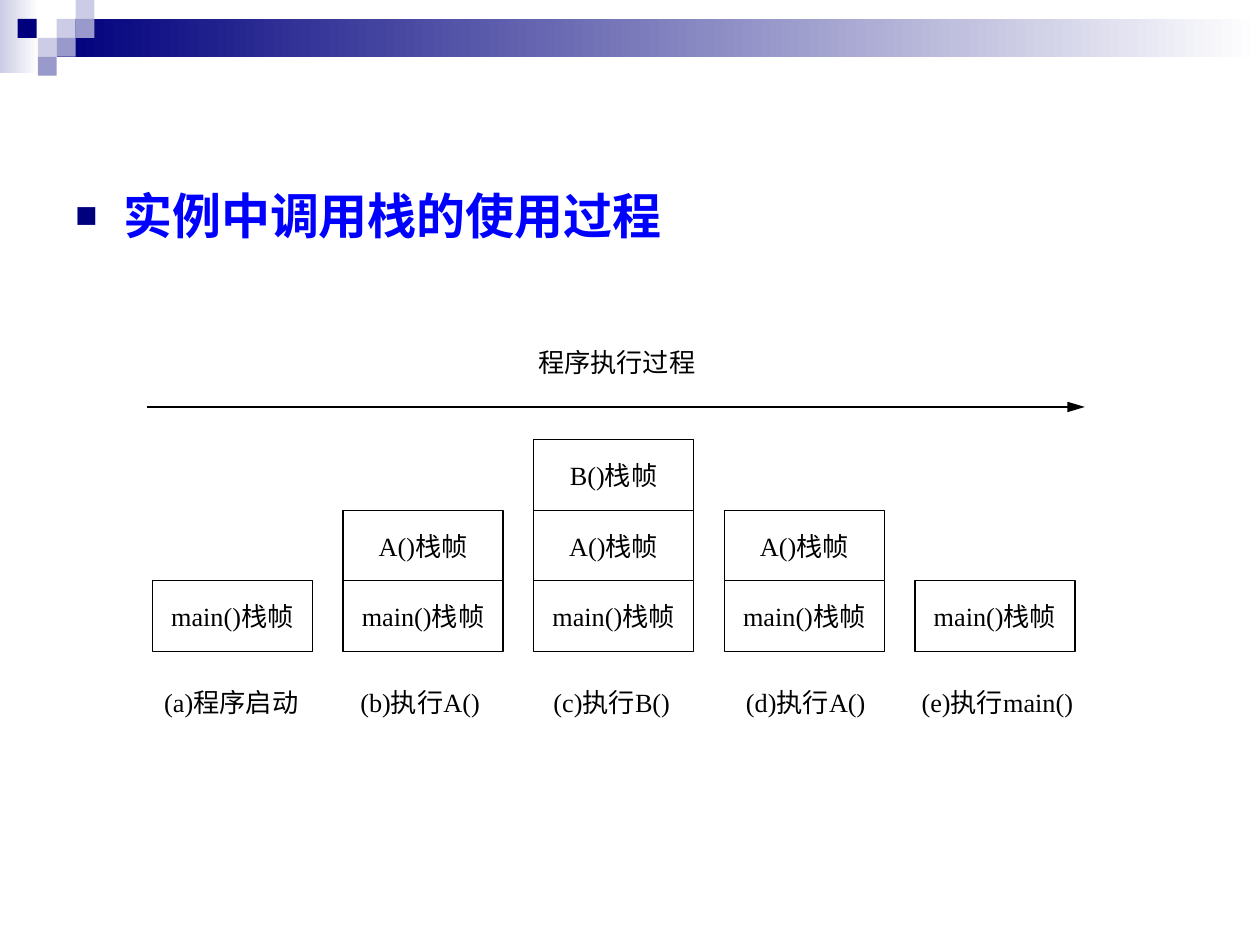
from lxml import etree
from pptx import Presentation
from pptx.dml.color import RGBColor
from pptx.enum.shapes import MSO_CONNECTOR, MSO_SHAPE
from pptx.enum.text import MSO_ANCHOR, PP_ALIGN
from pptx.oxml.ns import qn
from pptx.util import Inches, Pt

NAVY = RGBColor(0x00, 0x00, 0x7D)
LAVENDER = RGBColor(0xCC, 0xCC, 0xE6)
PERIWINKLE = RGBColor(0x99, 0x99, 0xCC)
BLUE = RGBColor(0x00, 0x00, 0xFF)
BLACK = RGBColor(0x00, 0x00, 0x00)
WHITE = RGBColor(0xFF, 0xFF, 0xFF)

LABEL_FONT = {"name": "Times New Roman", "size": Pt(15), "bold": False}
HEADING_FONT = {"name": "Arial", "size": Pt(28), "bold": True}


def add_rect(left, top, width, height):
    sp = slide.shapes.add_shape(MSO_SHAPE.RECTANGLE, Inches(left), Inches(top),
                                Inches(width), Inches(height))
    sp.shadow.inherit = False
    sp.line.fill.background()
    return sp


def write(sp, text, fmt, color, align):
    """Put one wrapped, formatted paragraph in the shape and return it."""
    sp.text_frame.word_wrap = True
    p = sp.text_frame.paragraphs[0]
    p.alignment = align
    r = p.add_run()
    r.text = text
    for name, value in fmt.items():
        setattr(r.font, name, value)
    r.font.color.rgb = color
    return p


prs = Presentation()
prs.slide_width, prs.slide_height = Inches(10), Inches(7.5)
slide = prs.slides.add_slide(prs.slide_layouts[6])

# Header: two gradient bands under a mosaic of small squares
for box, color in [((0, 0, 0.31, 0.58), LAVENDER), ((0.45, 0.15, 9.55, 0.3), NAVY)]:
    fill = add_rect(*box).fill
    fill.gradient()
    fill.gradient_angle = 0
    for stop, position, stop_color in zip(fill.gradient_stops, (0, 1), (color, WHITE)):
        stop.position = position
        stop.color.rgb = stop_color

SQUARE = 0.15
for left, top, color in [
    (0.45, 0.15, LAVENDER), (0.6, 0, LAVENDER), (0.6, 0.15, PERIWINKLE),
    (0.3, 0.3, LAVENDER), (0.14, 0.15, NAVY), (0.45, 0.3, PERIWINKLE),
    (0.3, 0.45, PERIWINKLE),
]:
    sp = add_rect(left, top, SQUARE, SQUARE)
    sp.fill.solid()
    sp.fill.fore_color.rgb = color

# Bulleted heading
heading = slide.shapes.add_textbox(Inches(0.5), Inches(1.42), Inches(9), Inches(0.7))
p = write(heading, "实例中调用栈的使用过程", HEADING_FONT, BLUE, PP_ALIGN.LEFT)
pPr = p._p.get_or_add_pPr()
pPr.set("marL", str(Inches(0.38)))
pPr.set("indent", str(-Inches(0.38)))
bullet_color = etree.SubElement(pPr, qn("a:buClr"))
etree.SubElement(bullet_color, qn("a:srgbClr"), val=str(NAVY))
etree.SubElement(pPr, qn("a:buSzPct"), val="75000")
etree.SubElement(pPr, qn("a:buFont"), typeface="Arial")
etree.SubElement(pPr, qn("a:buChar"), char="■")

# Call stacks, frames listed from the bottom up
FRAME_W, FRAME_H = 1.27, 0.56
STACK_LEFT, STACK_STEP, BOTTOM_TOP = 1.21, 1.513, 4.61
stacks = [["main"], ["main", "A"], ["main", "A", "B"], ["main", "A"], ["main"]]
for column, frames in enumerate(stacks):
    for level, function in enumerate(frames):
        sp = add_rect(STACK_LEFT + column * STACK_STEP, BOTTOM_TOP - level * FRAME_H,
                      FRAME_W, FRAME_H)
        sp.fill.solid()
        sp.fill.fore_color.rgb = WHITE
        sp.line.color.rgb = BLACK
        sp.line.width = Pt(0.75)
        sp.text_frame.vertical_anchor = MSO_ANCHOR.MIDDLE
        write(sp, f"{function}()栈帧", LABEL_FONT, BLACK, PP_ALIGN.CENTER)

# Captions and the arrow's label
for left, top, width, text in [
    (1.19, 5.4, 1.29, "(a)程序启动"), (2.7, 5.4, 1.27, "(b)执行A()"),
    (4.22, 5.4, 1.27, "(c)执行B()"), (5.76, 5.4, 1.27, "(d)执行A()"),
    (7.19, 5.4, 1.45, "(e)执行main()"), (4.17, 2.7, 1.45, "程序执行过程"),
]:
    label = slide.shapes.add_textbox(Inches(left), Inches(top), Inches(width), Inches(0.66))
    write(label, text, LABEL_FONT, BLACK, PP_ALIGN.CENTER)

# Time arrow
arrow = slide.shapes.add_connector(MSO_CONNECTOR.STRAIGHT, Inches(1.17), Inches(3.23),
                                   Inches(8.61), Inches(3.23))
arrow.line.color.rgb = BLACK
arrow.line.width = Pt(1)
etree.SubElement(arrow.line._get_or_add_ln(), qn("a:tailEnd"), type="triangle",
                 w="med", len="lg")
etree.SubElement(arrow._element.spPr, qn("a:effectLst"))

prs.save("out.pptx")
